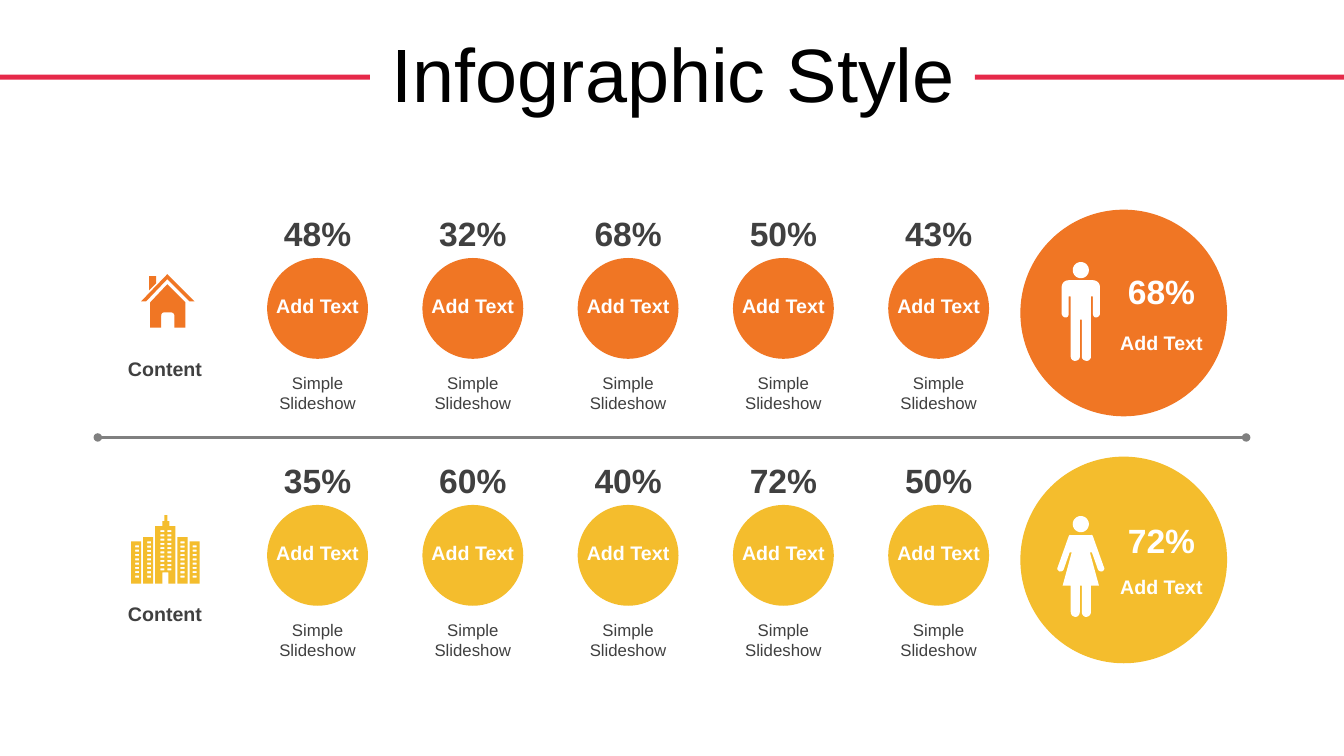
from math import cos, pi, sin

from lxml import etree
from pptx import Presentation
from pptx.dml.color import RGBColor
from pptx.enum.shapes import MSO_CONNECTOR, MSO_SHAPE
from pptx.enum.text import MSO_ANCHOR, MSO_AUTO_SIZE, PP_ALIGN
from pptx.oxml.ns import qn
from pptx.util import Inches, Pt

RED = RGBColor(0xE6, 0x29, 0x49)
ORANGE = RGBColor(0xF0, 0x76, 0x24)
YELLOW = RGBColor(0xF4, 0xBD, 0x2D)
DARK = RGBColor(0x40, 0x40, 0x40)
GRAY = RGBColor(0x80, 0x80, 0x80)
WHITE = RGBColor(0xFF, 0xFF, 0xFF)
BLACK = RGBColor(0, 0, 0)

FONT = "Arial"
FIRST_CENTER = 3.15
COLUMN_STEP = 1.54
FIGURE_CENTER = 10.72

# Right half of each figure from top to bottom: points, or curves of three points
MAN_HALF = [
    (10.72, 2.78), (10.84, 2.78), (10.88, 2.78, 10.91, 2.81, 10.91, 2.85),
    (10.91, 3.11), (10.91, 3.13, 10.89, 3.15, 10.87, 3.15),
    (10.85, 3.15, 10.84, 3.13, 10.84, 3.11), (10.84, 2.94), (10.82, 2.94),
    (10.82, 3.54), (10.82, 3.56, 10.8, 3.58, 10.78, 3.58),
    (10.75, 3.58, 10.73, 3.56, 10.73, 3.54), (10.73, 3.17), (10.72, 3.17),
]
WOMAN_HALF = [
    (10.72, 5.31), (10.8, 5.31), (10.83, 5.31, 10.83, 5.3, 10.84, 5.32),
    (10.95, 5.63), (10.96, 5.64, 10.95, 5.66, 10.93, 5.67),
    (10.92, 5.67, 10.9, 5.67, 10.89, 5.65), (10.83, 5.48), (10.81, 5.48),
    (10.9, 5.81), (10.82, 5.81), (10.82, 6.07),
    (10.82, 6.1, 10.8, 6.12, 10.77, 6.12),
    (10.75, 6.12, 10.73, 6.1, 10.73, 6.07), (10.73, 5.81), (10.72, 5.81),
]
HOUSE = [
    [(1.66, 2.82), (1.84, 3), (1.84, 3.25), (1.73, 3.25), (1.73, 3.13),
     (1.73, 3.11, 1.71, 3.1, 1.7, 3.1), (1.63, 3.1),
     (1.61, 3.1, 1.6, 3.11, 1.6, 3.13), (1.6, 3.25), (1.49, 3.25), (1.49, 3)],
    [(1.48, 2.74), (1.55, 2.74), (1.55, 2.81), (1.48, 2.88)],
    [(1.66, 2.72), (1.93, 2.99), (1.88, 2.99), (1.66, 2.77), (1.45, 2.99), (1.4, 2.99)],
]
CENTRAL_TOWER = [
    (1.63, 5.11), (1.66, 5.11), (1.66, 5.17), (1.68, 5.17), (1.68, 5.22), (1.74, 5.22),
    (1.74, 5.79), (1.67, 5.79), (1.67, 5.68), (1.61, 5.68), (1.61, 5.79), (1.54, 5.79),
    (1.54, 5.22), (1.61, 5.22), (1.61, 5.17), (1.63, 5.17),
]
SIDE_TOWERS = [(1.3, 5.37), (1.42, 5.33), (1.76, 5.33), (1.88, 5.37)]
# Left edge, first top, last top and number of windows
WINDOW_COLUMNS = [
    (1.34, 5.41, 5.71, 8), (1.46, 5.37, 5.71, 9), (1.59, 5.26, 5.64, 10),
    (1.66, 5.26, 5.64, 10), (1.79, 5.37, 5.71, 9), (1.91, 5.41, 5.71, 8),
]


def flatten(outline, steps=8):
    """Turn curves into short straight segments."""
    points = []
    for item in outline:
        if len(item) == 2:
            points.append(item)
            continue
        curve = [points[-1], item[:2], item[2:4], item[4:]]
        for step in range(1, steps + 1):
            t = step / steps
            weights = ((1 - t) ** 3, 3 * t * (1 - t) ** 2, 3 * t * t * (1 - t), t ** 3)
            points.append(tuple(sum(w * p[axis] for w, p in zip(weights, curve))
                                for axis in (0, 1)))
    return points


def box_outline(left, top, right, bottom):
    return [(left, top), (right, top), (right, bottom), (left, bottom)]


def figure_outlines(half, head_y):
    right = flatten(half)
    left = [(2 * FIGURE_CENTER - x, y) for x, y in reversed(right)]
    angles = [2 * pi * step / 48 for step in range(48)]
    head = [(FIGURE_CENTER + 0.08 * cos(a), head_y + 0.08 * sin(a)) for a in angles]
    return [right + left, head]


def building_outlines():
    outlines = [CENTRAL_TOWER]
    outlines += [box_outline(x, top, x + 0.1, 5.79) for x, top in SIDE_TOWERS]
    for x, first, last, count in WINDOW_COLUMNS:
        step = (last - first) / (count - 1)
        for index in range(count):
            top = first + index * step
            outlines.append(box_outline(x, top, x + 0.04, top + 0.02))
    return outlines


def paint(shape, color):
    shape.fill.solid()
    shape.fill.fore_color.rgb = color
    shape.line.fill.background()
    shape.shadow.inherit = False


def add_filled(slide, kind, left, top, width, height, color):
    shape = slide.shapes.add_shape(
        kind, Inches(left), Inches(top), Inches(width), Inches(height))
    paint(shape, color)


def add_icon(slide, outlines, color):
    builder = None
    for outline in outlines:
        points = [(Inches(x), Inches(y)) for x, y in flatten(outline)]
        if builder is None:
            builder = slide.shapes.build_freeform(*points[0])
        else:
            builder.move_to(*points[0])
        builder.add_line_segments(points[1:], close=True)
    paint(builder.convert_to_shape(), color)


def write(frame, text, size, color, bold=False, align=PP_ALIGN.CENTER):
    paragraph = frame.paragraphs[0]
    paragraph.alignment = align
    run = paragraph.add_run()
    run.text = text
    run.font.name, run.font.size, run.font.bold = FONT, Pt(size), bold
    run.font.color.rgb = color
    return paragraph


def add_text(shapes, text, left, top, width, height, size, color,
             bold=True, align=PP_ALIGN.CENTER, anchor=MSO_ANCHOR.TOP):
    box = shapes.add_textbox(Inches(left), Inches(top), Inches(width), Inches(height))
    frame = box.text_frame
    frame.word_wrap = True
    frame.auto_size = MSO_AUTO_SIZE.SHAPE_TO_FIT_TEXT
    frame.vertical_anchor = anchor
    write(frame, text, size, color, bold, align)


def add_title(slide, text):
    title = slide.shapes.title
    title.left, title.top = Inches(0.35), Inches(0.31)
    title.width, title.height = Inches(12.66), Inches(0.92)
    title.text_frame.auto_size = MSO_AUTO_SIZE.NONE
    title.text_frame.vertical_anchor = MSO_ANCHOR.MIDDLE
    write(title.text_frame, text, 54, BLACK).line_spacing = 0.9


def add_divider(slide):
    line = slide.shapes.add_connector(
        MSO_CONNECTOR.STRAIGHT, Inches(0.97), Inches(4.34), Inches(12.36), Inches(4.34))
    line.line.color.rgb = GRAY
    line.line.width = Pt(2)
    outline = line.line._get_or_add_ln()
    for end in ("a:headEnd", "a:tailEnd"):
        etree.SubElement(outline, qn(end), type="oval")
    etree.SubElement(line._element.spPr, qn("a:effectLst"))


def add_row(slide, top, color, percents, total, label_top, total_top, total_text_top):
    add_text(slide.shapes, "Content", 1.17, label_top, 1.01, 0.34, 14, DARK,
             align=PP_ALIGN.LEFT, anchor=MSO_ANCHOR.MIDDLE)
    # Percentages with circles and captions
    for index, percent in enumerate(percents):
        center = FIRST_CENTER + index * COLUMN_STEP
        add_filled(slide, MSO_SHAPE.OVAL, center - 0.5, top + 0.5, 1, 1, color)
        add_text(slide.shapes, percent, center - 0.51, top, 1.02, 0.5, 24, DARK,
                 anchor=MSO_ANCHOR.MIDDLE)
        add_text(slide.shapes, "Add Text", center - 0.63, top + 0.81, 1.26, 0.34, 14, WHITE)
        add_text(slide.shapes, "Simple Slideshow", center - 0.63, top + 1.59, 1.26, 0.5,
                 12, DARK, bold=False)
    # Large total circle
    add_filled(slide, MSO_SHAPE.OVAL, 10.12, top + 0.02, 2.05, 2.05, color)
    group = slide.shapes.add_group_shape()
    add_text(group.shapes, total, 11.01, total_top, 1.02, 0.5, 24, WHITE,
             anchor=MSO_ANCHOR.MIDDLE)
    add_text(group.shapes, "Add Text", 10.89, total_text_top, 1.26, 0.34, 14, WHITE)


def main():
    presentation = Presentation()
    presentation.slide_width, presentation.slide_height = Inches(13.33), Inches(7.5)
    slide = presentation.slides.add_slide(presentation.slide_layouts[5])

    # Title between two bars
    for left in (0, 9.67):
        add_filled(slide, MSO_SHAPE.RECTANGLE, left, 0.74, 3.67, 0.05, RED)
    add_title(slide, "Infographic Style")

    # Two rows of figures
    add_row(slide, 2.06, ORANGE, ["48%", "32%", "68%", "50%", "43%"], "68%",
            3.49, 2.64, 3.23)
    add_row(slide, 4.51, YELLOW, ["35%", "60%", "40%", "72%", "50%"], "72%",
            5.92, 5.11, 5.65)
    add_divider(slide)

    # Icons
    add_icon(slide, figure_outlines(MAN_HALF, 2.68), WHITE)
    add_icon(slide, figure_outlines(WOMAN_HALF, 5.2), WHITE)
    add_icon(slide, HOUSE, ORANGE)
    add_icon(slide, building_outlines(), YELLOW)

    presentation.save("out.pptx")


if __name__ == "__main__":
    main()
